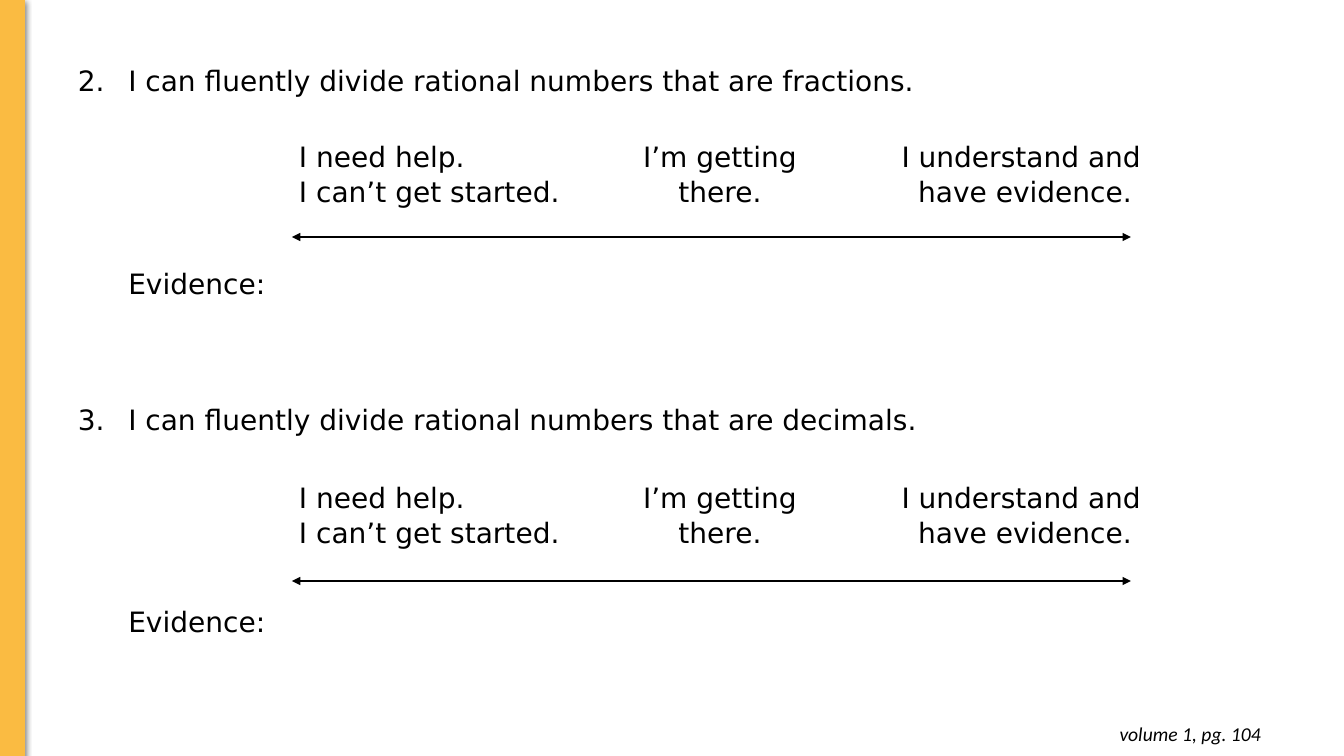
"""Build a self-assessment slide with two goals, each with a rating scale."""
from lxml.etree import SubElement
from pptx import Presentation
from pptx.dml.color import RGBColor
from pptx.enum.shapes import MSO_CONNECTOR as Link, MSO_SHAPE as Shape
from pptx.enum.text import MSO_ANCHOR as Anchor, PP_ALIGN as Align
from pptx.oxml.ns import qn
from pptx.util import Pt

BLACK = RGBColor(0, 0, 0)
GOLD = RGBColor(0xFA, 0xBB, 0x42)
FONT = "DejaVu Sans"
PAGE = "volume 1, pg. 104"
PROOF = "Evidence:"
GOALS = [
    (2, "I can fluently divide rational numbers that are fractions.", 138, 237),
    (3, "I can fluently divide rational numbers that are decimals.", 479, 581),
]
SCALE = [
    ("I need help. \vI can’t get started.", Align.LEFT, 302),
    ("I’m getting there.", Align.CENTER, 252),
    ("I understand and have evidence. ", Align.RIGHT, 302),
]
ROWS = (62, 46)
LEFT, RIGHT = 292, 1131
GOAL_GAP, PROOF_GAP = Pt(73), Pt(120.5)


def px(*vals):
    """Turn px lengths into EMU."""
    return [round(v * 914400 / 100.8) for v in vals]


def add(node, tag, **attrs):
    """Append a drawing element to a node."""
    return SubElement(node, qn(tag), attrs)


def style(para, size=20, name=FONT):
    """Set the font of a paragraph."""
    font = para.font
    font.size, font.name = Pt(size), name
    font.color.rgb = BLACK
    return font


def add_bar(slide):
    """Draw the gold band at the left edge."""
    bar = slide.shapes.add_shape(Shape.RECTANGLE, *px(0, 0, 25, 757))
    bar.fill.solid()
    bar.fill.fore_color.rgb = bar.line.color.rgb = GOLD
    bar.line.width = Pt(0.75)
    bar.shadow.inherit = False
    glow = add(bar._element.spPr.find(qn("a:effectLst")), "a:outerShdw",
               blurRad=str(Pt(4.5)), dist=str(Pt(1.5)), dir="5400000")
    tint = add(glow, "a:srgbClr", val=str(BLACK))
    add(tint, "a:alpha", val="50000")


def add_page(slide):
    """Write the page reference."""
    frame = slide.shapes.add_textbox(*px(981, 712, 290, 44)).text_frame
    frame.word_wrap = True
    frame.margin_top = frame.margin_bottom = px(10)[0]
    para = frame.paragraphs[0]
    para.text, para.alignment = PAGE, Align.RIGHT
    style(para, 14, "Calibri").italic = True


def add_goals(slide):
    """Write the numbered goals and their evidence lines."""
    frame = slide.shapes.add_textbox(*px(68, 59, 1130, 587)).text_frame
    frame.word_wrap = True
    for i, (num, goal, _, _) in enumerate(GOALS):
        head = frame.add_paragraph() if i else frame.paragraphs[0]
        proof = frame.add_paragraph()
        head.text, proof.text = goal, PROOF
        if i:
            head.space_before = GOAL_GAP
        proof.space_before = PROOF_GAP
        for para, dent in ((head, -457200), (proof, 0)):
            props = para._p.get_or_add_pPr()
            props.set("marL", "457200")
            props.set("indent", str(dent))
        props = head._p.pPr
        add(add(props, "a:buClr"), "a:srgbClr", val=str(BLACK))
        add(props, "a:buAutoNum", type="arabicPeriod", startAt=str(num))
        style(head)
        style(proof)


def add_scale(slide, top, mid):
    """Draw one rating scale with its arrow."""
    wide = sum(w for _, _, w in SCALE)
    table = slide.shapes.add_table(
        len(ROWS), len(SCALE), *px(LEFT, top, wide, sum(ROWS))).table
    table.first_row = table.horz_banding = False
    for row, high in zip(table.rows, px(*ROWS)):
        row.height = high
    for cell in table.iter_cells():
        cell.fill.background()
        cell.vertical_anchor = Anchor.MIDDLE
        cell.margin_left = cell.margin_right = px(7)[0]
        cell.margin_top = cell.margin_bottom = 0
    for i, (label, align, width) in enumerate(SCALE):
        table.columns[i].width = px(width)[0]
        para = table.cell(0, i).text_frame.paragraphs[0]
        para.text, para.alignment, para.line_spacing = label, align, 1.07
        style(para)
    table.cell(1, 0).merge(table.cell(1, len(SCALE) - 1))
    arrow = slide.shapes.add_connector(
        Link.STRAIGHT, *px(LEFT, mid, RIGHT, mid))
    arrow.line.color.rgb, arrow.line.width = BLACK, Pt(0.75)
    for tag in ("a:headEnd", "a:tailEnd"):
        add(arrow.line._get_or_add_ln(), tag, type="triangle")
    add(arrow._element.spPr, "a:effectLst")


def main():
    """Build and save the slide."""
    deck = Presentation()
    deck.slide_width, deck.slide_height = px(1344, 756)
    slide = deck.slides.add_slide(deck.slide_layouts[6])
    add_bar(slide)
    add_page(slide)
    add_goals(slide)
    for _, _, top, mid in GOALS:
        add_scale(slide, top, mid)
    deck.save("out.pptx")


if __name__ == "__main__":
    main()
